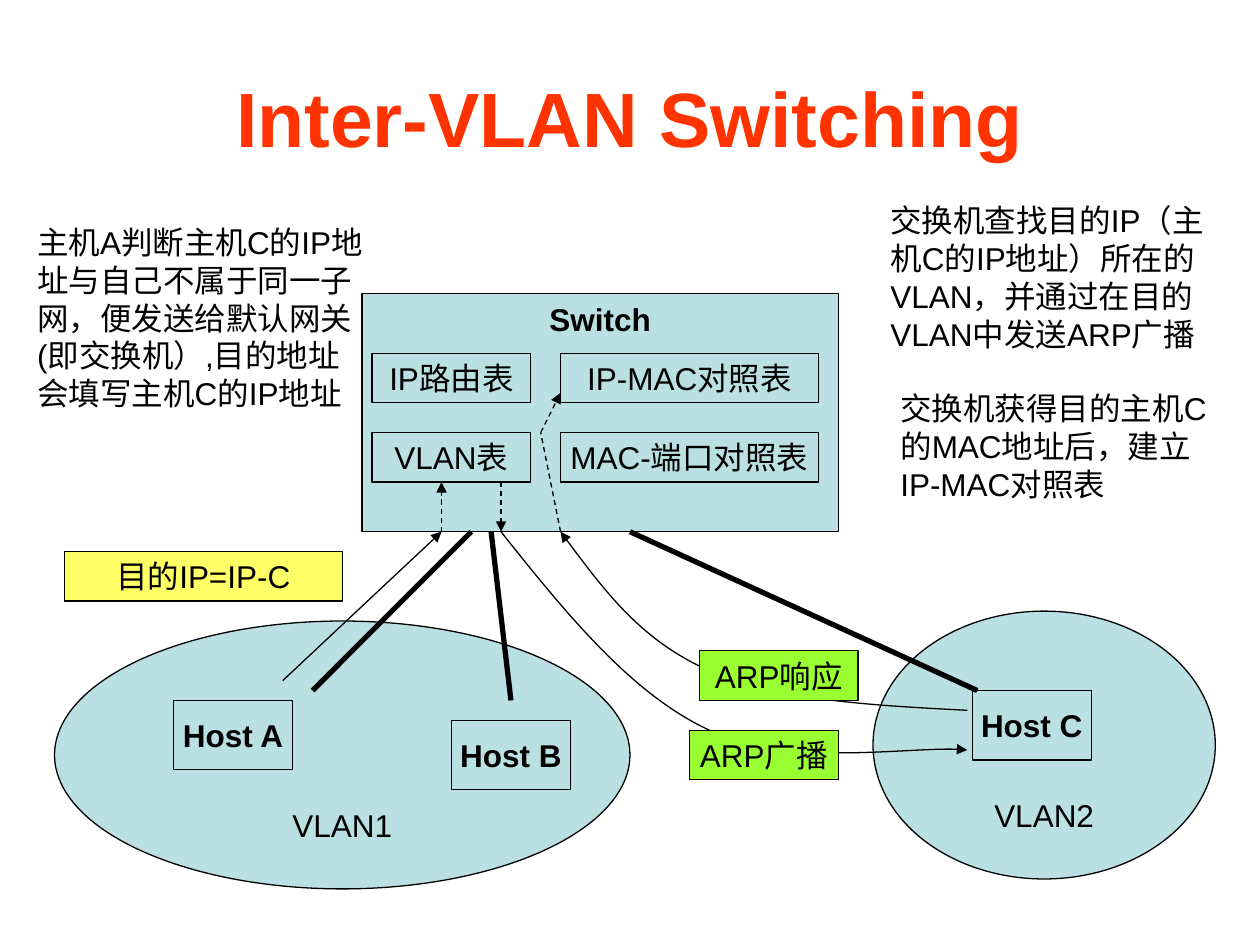
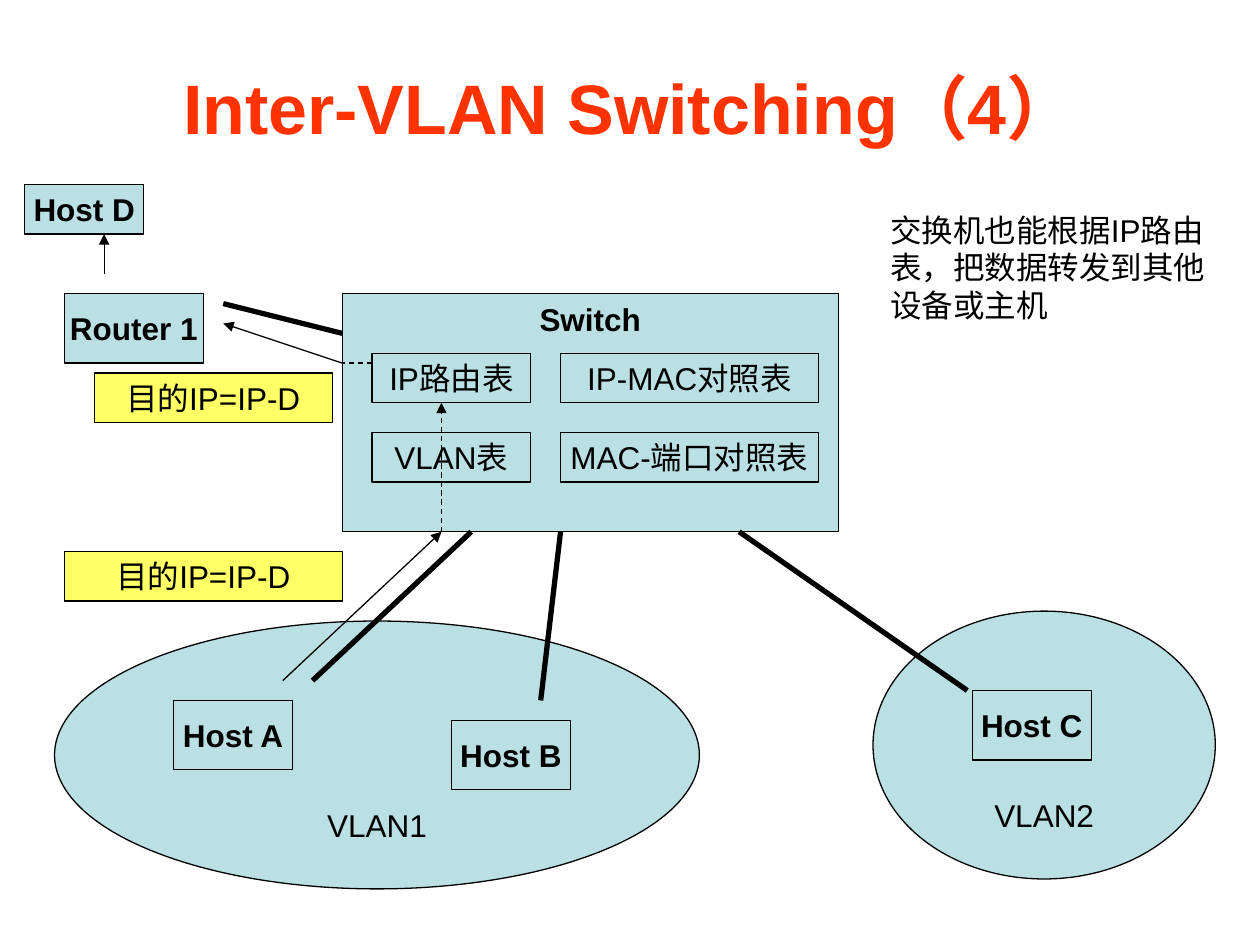
from lxml import etree
from pptx import Presentation
from pptx.dml.color import RGBColor
from pptx.enum.dml import MSO_LINE_DASH_STYLE as Dash
from pptx.enum.shapes import MSO_CONNECTOR as Connector, MSO_SHAPE as Preset
from pptx.enum.text import MSO_ANCHOR as Anchor, PP_ALIGN as Align
from pptx.oxml.ns import qn
from pptx.util import Cm, Pt

FONT = "Arial"
BLACK, RED, WHITE = "000000", "FF3300", "FFFFFF"
TEAL, YELLOW, GREEN = "BBE0E3", "FFFF66", "99FF33"
SWITCH_TOP, SWITCH_HEIGHT = 5.92, 4.8
SWITCH_BOTTOM = SWITCH_TOP + SWITCH_HEIGHT
LABEL_HEIGHT = 1
TABLE_COLUMNS = (
    (7.5, 3.2, ("IP路由表", "VLAN表")),
    (11.3, 5.2, ("IP-MAC对照表", "MAC-端口对照表")),
)
TABLE_TOP, TABLE_STEP = 7.12, 1.6


def color(value):
    """Turn a hex string into a colour."""
    return RGBColor.from_string(value)


def write(shape, text, size=18, bold=False, ink=BLACK, align=Align.CENTER,
          anchor=Anchor.MIDDLE, wrap=False):
    """Put formatted text into a shape."""
    frame = shape.text_frame
    frame.word_wrap = wrap
    frame.vertical_anchor = anchor
    frame.text = text
    paragraph = frame.paragraphs[0]
    paragraph.alignment = align
    font = paragraph.runs[0].font
    font.name, font.size, font.bold = FONT, Pt(size), bold
    font.color.rgb = color(ink)


def outline(shape, width=0.75):
    """Give a shape or connector a black line."""
    shape.line.color.rgb = color(BLACK)
    shape.line.width = Pt(width)


def add_arrowhead(shape):
    """Put a triangle at the end of a line."""
    etree.SubElement(shape.line._get_or_add_ln(), qn("a:tailEnd"), type="triangle")


def add_box(slide, left, top, width, height, text, fill=TEAL,
            preset=Preset.RECTANGLE, **text_format):
    """Draw a filled shape with text."""
    shape = slide.shapes.add_shape(preset, Cm(left), Cm(top), Cm(width), Cm(height))
    shape.shadow.inherit = False
    shape.fill.solid()
    shape.fill.fore_color.rgb = color(fill)
    outline(shape)
    write(shape, text, **text_format)


def add_host(slide, left, top, text, width=2.4, height=1.4):
    """Draw a device with a bold name."""
    add_box(slide, left, top, width, height, text, bold=True)


def add_vlan(slide, left, top, width, text):
    """Draw a VLAN ellipse named at its foot."""
    add_box(slide, left, top, width, 5.4, text, preset=Preset.OVAL, anchor=Anchor.BOTTOM)


def add_label(slide, left, top, width, text, fill):
    """Draw a packet label."""
    add_box(slide, left, top, width, LABEL_HEIGHT, text, fill)


def add_note(slide, left, top, width, height, text):
    """Add a wrapped explanation."""
    box = slide.shapes.add_textbox(Cm(left), Cm(top), Cm(width), Cm(height))
    write(box, text, align=Align.LEFT, anchor=Anchor.TOP, wrap=True)


def add_line(slide, start, end, width=0.75, dashed=False, arrow=False):
    """Draw a straight line between two points."""
    line = slide.shapes.add_connector(
        Connector.STRAIGHT, *(Cm(value) for value in (*start, *end)))
    outline(line, width)
    etree.SubElement(line._element.spPr, qn("a:effectLst"))
    if dashed:
        line.line.dash_style = Dash.DASH
    if arrow:
        add_arrowhead(line)


def add_cables(slide, *cables):
    """Draw thick lines for physical links."""
    for start, end in cables:
        add_line(slide, start, end, width=3)


def add_curve(slide, points):
    """Draw an arrow through Bezier points, three for each segment."""
    start, *rest = [(Cm(x), Cm(y)) for x, y in points]
    builder = slide.shapes.build_freeform(*start)
    builder.add_line_segments(rest, close=False)
    shape = builder.convert_to_shape()
    path = shape._element.find(".//" + qn("a:path"))
    lines = path.findall(qn("a:lnTo"))
    for first in range(0, len(lines), 3):
        segment = etree.SubElement(path, qn("a:cubicBezTo"))
        for line in lines[first:first + 3]:
            segment.append(line[0])
            path.remove(line)
    shape.shadow.inherit = False
    shape.fill.background()
    outline(shape)
    add_arrowhead(shape)


def add_network(presentation, title, title_height, title_size, vlan_width, switch_left):
    """Start a slide with the title, VLANs, hosts and switch."""
    slide = presentation.slides.add_slide(presentation.slide_layouts[5])
    slide.background.fill.solid()
    slide.background.fill.fore_color.rgb = color(WHITE)
    heading = slide.shapes.title
    heading.left, heading.top = Cm(1.27), Cm(0.76)
    heading.width, heading.height = Cm(22.86), Cm(title_height)
    write(heading, title, size=title_size, bold=True, ink=RED, wrap=True)

    add_vlan(slide, 17.6, 12.32, 6.9, "VLAN2")
    add_vlan(slide, 1.1, 12.52, vlan_width, "VLAN1")
    add_box(slide, switch_left, SWITCH_TOP, 16.9 - switch_left, SWITCH_HEIGHT,
            "Switch", bold=True, anchor=Anchor.TOP)
    for left, top, name in ((3.5, 14.12, "Host A"), (9.1, 14.52, "Host B"),
                            (19.6, 13.92, "Host C")):
        add_host(slide, left, top, name)
    for left, width, names in TABLE_COLUMNS:
        for row, name in enumerate(names):
            add_box(slide, left, TABLE_TOP + row * TABLE_STEP, width, LABEL_HEIGHT, name)
    add_line(slide, (5.7, 13.72), (8.9, SWITCH_BOTTOM), arrow=True)
    return slide


def add_arp_slide(presentation):
    """Show how the switch finds a host with ARP."""
    slide = add_network(presentation, "Inter-VLAN Switching", 3.18, 44, 11.6, 7.3)
    add_line(slide, (8.9, SWITCH_BOTTOM), (8.9, 9.72), dashed=True, arrow=True)
    add_line(slide, (10.1, 9.72), (10.1, SWITCH_BOTTOM), dashed=True, arrow=True)
    add_line(slide, (11.3, SWITCH_BOTTOM), (10.9, 8.72), dashed=True)
    add_line(slide, (10.9, 8.72), (11.3, 7.92), dashed=True, arrow=True)
    add_note(slide, 0.5, 4.37, 7.2, 4.83,
             "主机A判断主机C的IP地址与自己不属于同一子网，便发送给默认网关"
             "(即交换机）,目的地址会填写主机C的IP地址")
    add_note(slide, 17.7, 3.93, 7.2, 4.06,
             "交换机查找目的IP（主机C的IP地址）所在的VLAN，"
             "并通过在目的VLAN中发送ARP广播")
    add_note(slide, 17.9, 7.72, 6.9, 2.54,
             "交换机获得目的主机C的MAC地址后，建立IP-MAC对照表")
    add_label(slide, 1.3, 11.12, 5.6, "目的IP=IP-C", YELLOW)
    add_curve(slide, ((10.1, SWITCH_BOTTOM), (11.4, 12.35), (12.72, 13.99), (14.3, 14.72),
                      (15.88, 15.47), (18.57, 15.01), (19.5, 15.12)))
    add_label(slide, 13.9, 14.72, 3, "ARP广播", GREEN)
    add_curve(slide, ((19.5, 14.32), (17.58, 14.22), (15.67, 14.12), (14.3, 13.52),
                      (12.93, 12.92), (12.12, 11.82), (11.3, SWITCH_BOTTOM)))
    add_label(slide, 14.1, 13.12, 3.2, "ARP响应", GREEN)
    add_cables(slide, ((6.3, 13.92), (9.5, SWITCH_BOTTOM)),
               ((19.7, 13.92), (12.7, SWITCH_BOTTOM)),
               ((10.3, 14.12), (9.9, SWITCH_BOTTOM)))


def add_routing_slide(presentation):
    """Show how the switch forwards by its routing table."""
    slide = add_network(presentation, "Inter-VLAN Switching（4）", 2.77, 40, 13, 6.9)
    add_line(slide, (8.9, SWITCH_BOTTOM), (8.9, 8.12), dashed=True, arrow=True)
    add_line(slide, (7.5, 7.32), (6.9, 7.32), dashed=True)
    add_line(slide, (6.9, 7.32), (4.5, 6.52), arrow=True)
    add_line(slide, (2.1, 5.52), (2.1, 4.72), arrow=True)
    add_host(slide, 1.3, SWITCH_TOP, "Router 1", width=2.8)
    add_host(slide, 0.5, 3.72, "Host D", height=LABEL_HEIGHT)
    add_label(slide, 1.3, 11.12, 5.6, "目的IP=IP-D", YELLOW)
    add_label(slide, 1.9, 7.52, 4.8, "目的IP=IP-D", YELLOW)
    add_note(slide, 17.7, 4.12, 7.2, 2.54,
             "交换机也能根据IP路由表，把数据转发到其他设备或主机")
    add_cables(slide, ((4.5, 6.12), (6.9, 6.72)),
               ((6.3, 13.72), (9.5, SWITCH_BOTTOM)),
               ((10.9, 14.12), (11.3, SWITCH_BOTTOM)),
               ((19.5, 13.92), (14.9, SWITCH_BOTTOM)))


def main():
    """Build and save the presentation."""
    presentation = Presentation()
    presentation.slide_width, presentation.slide_height = Cm(25.4), Cm(19.05)
    add_arp_slide(presentation)
    add_routing_slide(presentation)
    presentation.save("out.pptx")


if __name__ == "__main__":
    main()
